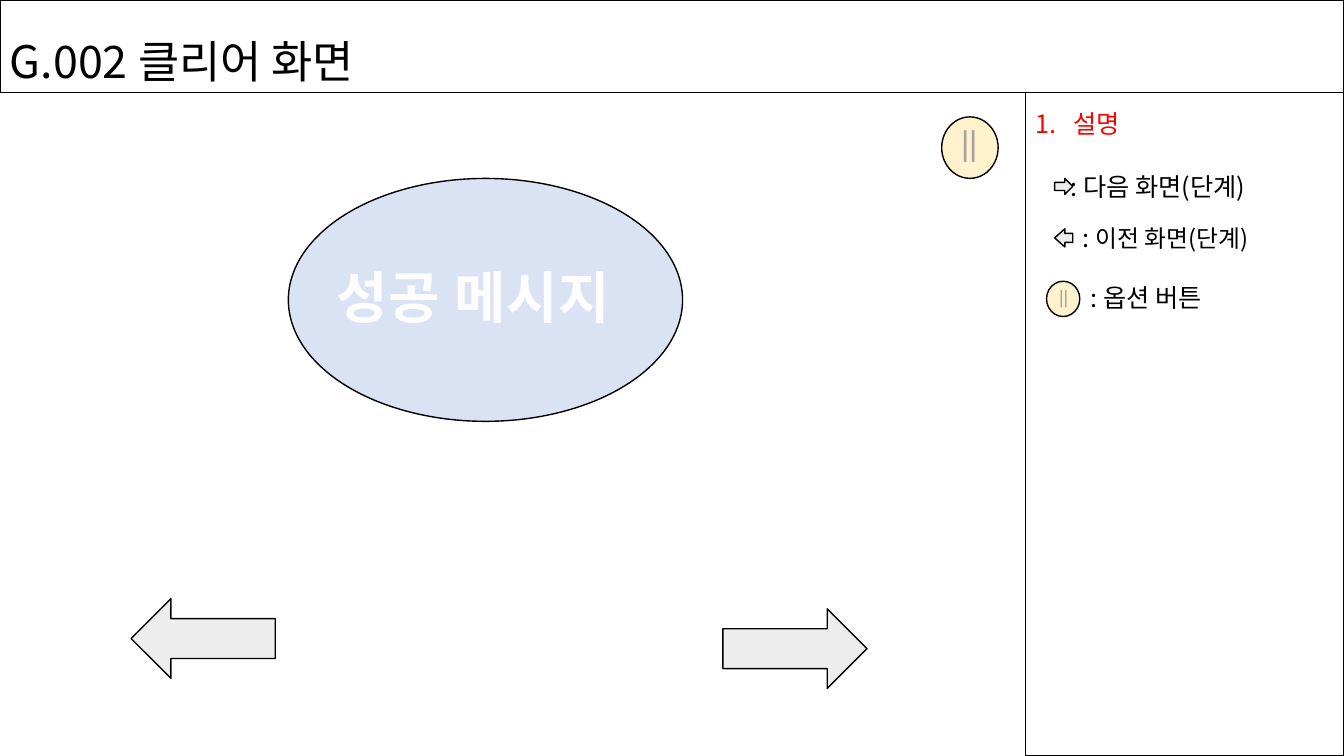
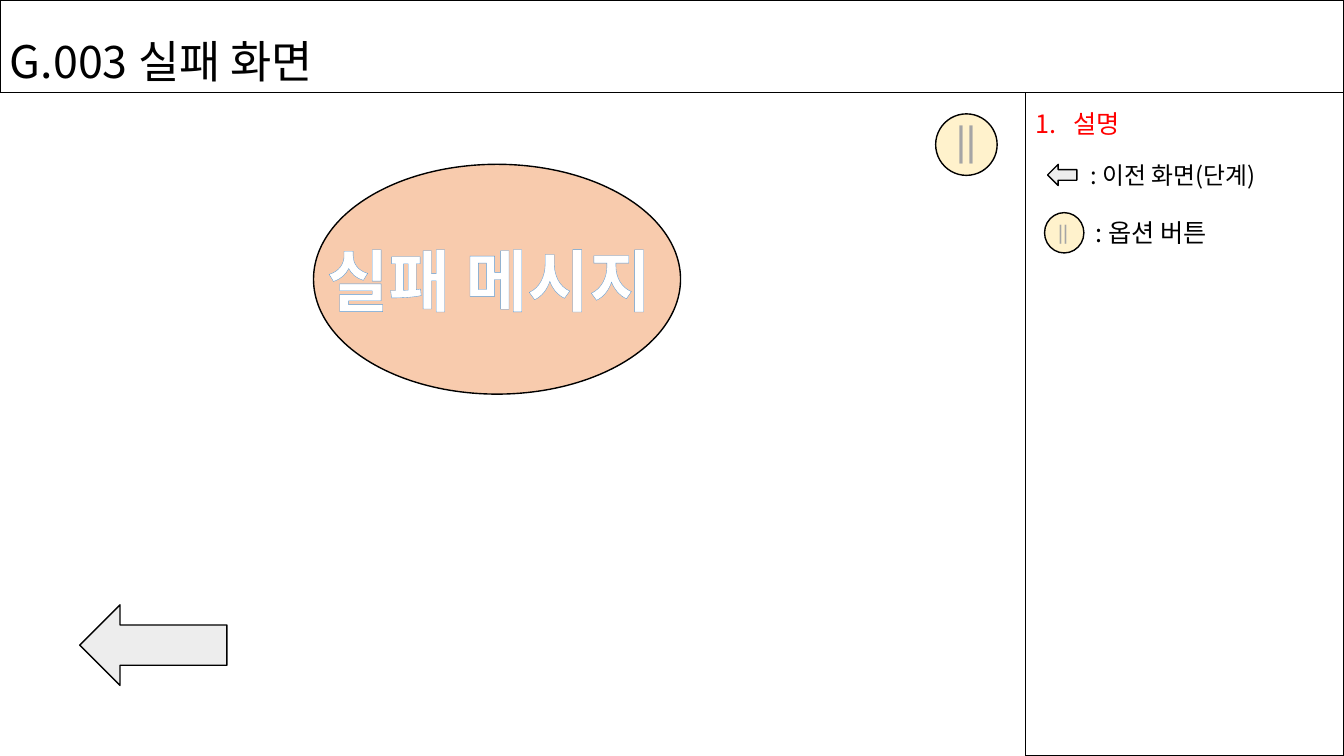
import pptx
import pptx.dml.color
import pptx.enum.shapes
import pptx.enum.text
import pptx.util
from lxml import etree
from pptx.oxml.ns import qn

Inches = pptx.util.Inches
Pt = pptx.util.Pt
SHAPES = pptx.enum.shapes.MSO_SHAPE
ALIGN = pptx.enum.text.PP_ALIGN
ANCHOR = pptx.enum.text.MSO_ANCHOR
AUTO_SIZE = pptx.enum.text.MSO_AUTO_SIZE

FONT = "Noto Sans CJK KR"
BLACK, RED, GREY = "000000", "FF0000", "A5A5A5"
ARROW_FILL, BUTTON_FILL = "EDEDED", "FFF2CC"
SLIDE_WIDTH, SLIDE_HEIGHT = 13.33, 7.5
HEADER_HEIGHT = 0.92
PANEL_LEFT = 10.17
PANEL_WIDTH = SLIDE_WIDTH - PANEL_LEFT


def color(hex_text):
    return pptx.dml.color.RGBColor.from_string(hex_text)


def set_all(target, values):
    for name, value in values.items():
        setattr(target, name, value)


def add_color_fill(parent, hex_text, alpha=None):
    """Append an RGB colour element, optionally transparent, to parent."""
    element = etree.SubElement(parent, qn("a:srgbClr"), val=hex_text)
    if alpha is not None:
        etree.SubElement(element, qn("a:alpha"), val=str(alpha * 1000))


def add_box(slide, kind, box, fill=None, rotation=0):
    """Draw a black-outlined preset shape in box (left, top, width, height)."""
    shape = slide.shapes.add_shape(kind, *map(Inches, box))
    set_all(shape, {"rotation": rotation})
    shape.shadow.inherit = False
    if fill:
        shape.fill.solid()
        shape.fill.fore_color.rgb = color(fill)
    else:
        shape.fill.background()
    shape.line.color.rgb = color(BLACK)
    shape.line.width = Pt(1)
    return shape


def add_run(paragraph, text, size, hex_text=BLACK, bold=False):
    run = paragraph.add_run()
    run.text = text
    set_all(run.font, {"size": Pt(size), "name": FONT, "bold": bold})
    run.font.color.rgb = color(hex_text)
    properties = run.font._element
    for tag in ("a:ea", "a:cs"):
        etree.SubElement(properties, qn(tag), typeface=FONT)
    return run


def add_label(slide, box, runs, hex_text=BLACK, bold=False, align=ALIGN.LEFT, wrap=True):
    """Add a text box whose runs are (text, size) pairs; return its paragraph."""
    text_box = slide.shapes.add_textbox(*map(Inches, box))
    set_all(text_box.text_frame, {"word_wrap": wrap, "auto_size": AUTO_SIZE.SHAPE_TO_FIT_TEXT})
    paragraph = text_box.text_frame.paragraphs[0]
    paragraph.alignment = align
    for text, size in runs:
        add_run(paragraph, text, size, hex_text, bold)
    return paragraph


def add_header(slide, title):
    header = add_box(slide, SHAPES.RECTANGLE, (0, 0, SLIDE_WIDTH, HEADER_HEIGHT))
    set_all(header.text_frame, {"vertical_anchor": ANCHOR.BOTTOM, "word_wrap": True})
    paragraph = header.text_frame.paragraphs[0]
    set_all(paragraph, {"alignment": ALIGN.LEFT, "line_spacing": 1.5})
    add_run(paragraph, title, 32)


def add_panel_heading(slide):
    paragraph = add_label(slide, (PANEL_LEFT, 1.03, 1.09, 0.4), [("설명", 18)], RED, wrap=False)
    properties = paragraph._p.get_or_add_pPr()
    indent = Inches(0.38)
    properties.set("marL", str(indent))
    properties.set("indent", str(-indent))
    etree.SubElement(properties, qn("a:buFont"), typeface="+mj-lt")
    etree.SubElement(properties, qn("a:buAutoNum"), type="arabicPeriod")


def add_arrow(slide, box, back=False, head=0.5):
    arrow = add_box(slide, SHAPES.RIGHT_ARROW, box, ARROW_FILL, 180 if back else 0)
    arrow.adjustments[1] = head


def add_pause_button(slide, circle, label, size, wrap=False):
    add_box(slide, SHAPES.OVAL, circle, BUTTON_FILL)
    add_label(slide, label, [("||", size)], GREY, True, ALIGN.CENTER, wrap)


def add_message(slide, oval, fill, label, text, size, text_color, outline, shadow=False):
    """Draw an oval with outlined lettering over it; outline is (colour, points)."""
    add_box(slide, SHAPES.OVAL, oval, fill)
    paragraph = add_label(slide, label, [(text, size)], text_color, True, ALIGN.CENTER, shadow)
    properties = paragraph.runs[0].font._element
    line_color, line_width = outline
    line = etree.Element(qn("a:ln"), w=str(Pt(line_width)))
    add_color_fill(etree.SubElement(line, qn("a:solidFill")), line_color)
    properties.insert(0, line)
    if shadow:
        properties.set("spc", "50")
        effects = etree.Element(qn("a:effectLst"))
        outer = etree.SubElement(effects, qn("a:outerShdw"), blurRad="38100",
                                 dist="19050", dir="2700000", algn="tl")
        add_color_fill(outer, line_color, 40)
        properties.insert(2, effects)


def add_screen(presentation, title):
    """Add a slide with the header band and the description panel."""
    slide = presentation.slides.add_slide(presentation.slide_layouts[6])
    add_box(slide, SHAPES.RECTANGLE,
            (PANEL_LEFT, HEADER_HEIGHT, PANEL_WIDTH, SLIDE_HEIGHT - HEADER_HEIGHT))
    add_header(slide, title)
    add_panel_heading(slide)
    return slide


def add_clear_screen(presentation):
    slide = add_screen(presentation, "G.002 클리어 화면")
    add_arrow(slide, (7.17, 6.04, 1.43, 0.79))
    add_arrow(slide, (1.3, 5.94, 1.43, 0.79), back=True)
    add_message(slide, (2.86, 1.77, 3.91, 2.41), "DAE3F3", (2.9, 2.56, 3.59, 0.77),
                "성공 메시지", 40, "FEFEFE", ("4472C4", 0.75), shadow=True)
    add_pause_button(slide, (9.34, 1.16, 0.56, 0.61), (9.43, 1.21, 0.37, 0.44), 20)

    add_arrow(slide, (10.46, 1.77, 0.18, 0.16))
    add_label(slide, (10.52, 1.65, 2.54, 0.4), [(": 다음 화면(단계)", 18)])
    add_arrow(slide, (10.46, 2.27, 0.18, 0.18), back=True, head=0.56)
    add_label(slide, (10.64, 2.16, 1.96, 0.4), [(": ", 18), ("이전 화면(단계)", 17)])
    add_pause_button(slide, (10.38, 2.79, 0.33, 0.35), (10.4, 2.81, 0.3, 0.29), 11)
    add_label(slide, (10.72, 2.75, 2.62, 0.4), [(": 옵션 버튼", 18)])


def add_failure_screen(presentation):
    slide = add_screen(presentation, "G.003 실패 화면")
    add_message(slide, (3.11, 1.63, 3.64, 2.28), "F8CBAD", (2.95, 2.32, 3.8, 0.91),
                "실패 메시지", 48, "FFFFFF", ("5B9BD5", 0.8))
    add_arrow(slide, (0.79, 6, 1.46, 0.8), back=True)
    add_pause_button(slide, (9.28, 1.13, 0.61, 0.61), (9.38, 1.15, 0.41, 0.5), 24)

    add_arrow(slide, (10.39, 1.63, 0.29, 0.21), back=True)
    add_label(slide, (10.72, 1.54, 2.62, 0.39), [(": 이전 화면(단계)", 17)])
    add_pause_button(slide, (10.36, 2.11, 0.39, 0.4), (10.39, 2.16, 0.31, 0.3), 12, wrap=True)
    add_label(slide, (10.77, 2.11, 2.22, 0.4), [(": 옵션 버튼", 18)])


def main():
    presentation = pptx.Presentation()
    set_all(presentation, {"slide_width": Inches(SLIDE_WIDTH),
                           "slide_height": Inches(SLIDE_HEIGHT)})
    add_clear_screen(presentation)
    add_failure_screen(presentation)
    presentation.save("out.pptx")


if __name__ == "__main__":
    main()
